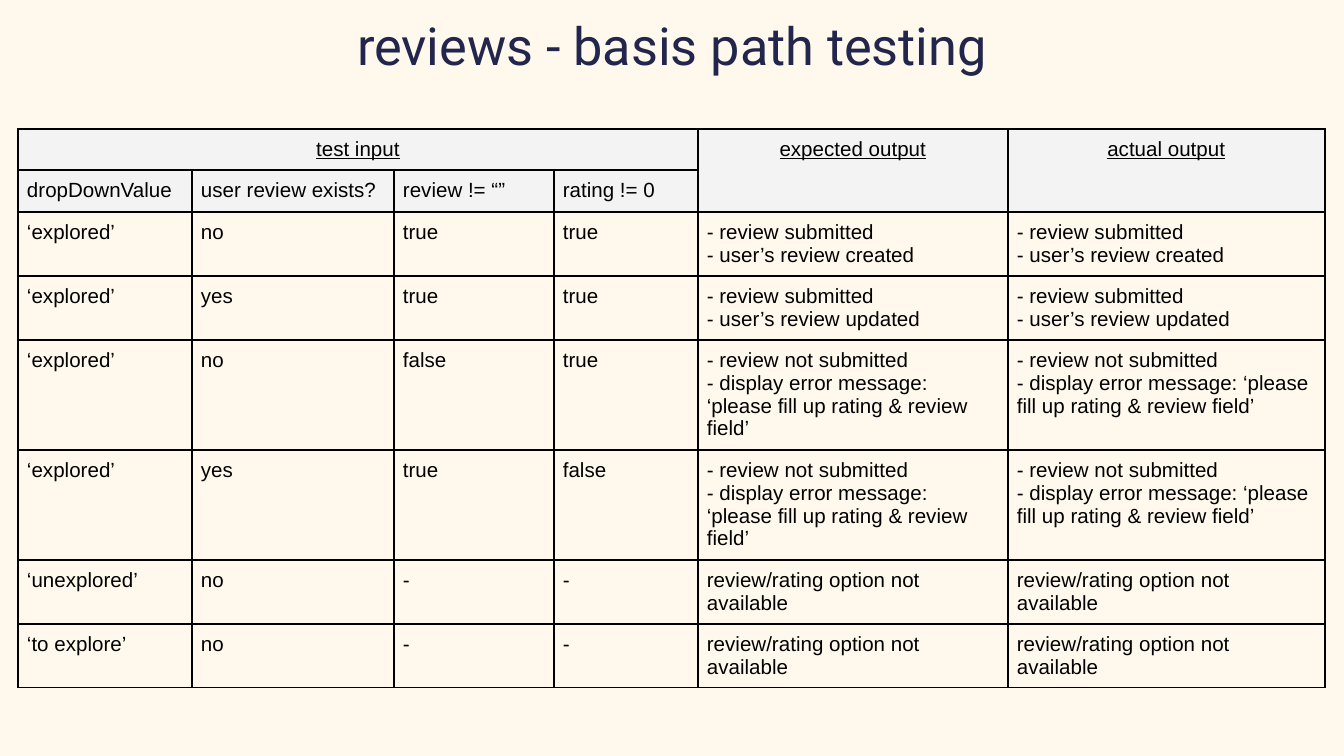
import pptx
import pptx.dml.color
import pptx.enum.text
import pptx.oxml
import pptx.oxml.ns
import pptx.util

# Content
TITLE = "reviews - basis path testing"
GROUPS = [("test input", 0, 0, 0, 3), ("expected output", 0, 4, 1, 4), ("actual output", 0, 5, 1, 5)]
INPUTS = ["dropDownValue", "user review exists?", "review != “”", "rating != 0"]
CREATED = "- review submitted\n- user’s review created"
UPDATED = "- review submitted\n- user’s review updated"
REJECTED = ("- review not submitted\n"
            "- display error message: ‘please fill up rating & review field’")
UNAVAILABLE = "review/rating option not available"
# The actual output equals the expected output in every case
CASES = [
    ("‘explored’", "no", "true", "true", CREATED),
    ("‘explored’", "yes", "true", "true", UPDATED),
    ("‘explored’", "no", "false", "true", REJECTED),
    ("‘explored’", "yes", "true", "false", REJECTED),
    ("‘unexplored’", "no", "-", "-", UNAVAILABLE),
    ("‘to explore’", "no", "-", "-", UNAVAILABLE),
]

# Look
COLORS = {"background": "FFF9ED", "title": "22254C", "text": "000000",
          "header": "F3F3F3", "border": "000000"}
COLUMN_WIDTHS = [174, 202, 160, 144, 310, 317]
ROW_HEIGHTS = [41, 42, 64, 64, 110, 110, 64, 64]
HEADER_ROWS = 2
CELL_MARGIN = 9
SCALE = 914400 / 134.4


def px(length):
    return pptx.util.Emu(round(length * SCALE))


def color(name):
    return pptx.dml.color.RGBColor.from_string(COLORS[name])


def style_runs(frame, font, size, color_name, centered=False, underline=False):
    for para in frame.paragraphs:
        if centered:
            para.alignment = pptx.enum.text.PP_ALIGN.CENTER
        for span in para.runs:
            span.font.name = font
            span.font.size = pptx.util.Pt(size)
            span.font.color.rgb = color(color_name)
            span.font.underline = underline


def add_borders(cell):
    properties = cell._tc.get_or_add_tcPr()
    for index, side in enumerate(("lnL", "lnR", "lnT", "lnB")):
        properties.insert(index, pptx.oxml.parse_xml(
            f'<a:{side} {pptx.oxml.ns.nsdecls("a")} w="12700"><a:solidFill>'
            f'<a:srgbClr val="{COLORS["border"]}"/></a:solidFill></a:{side}>'))


def add_title(page):
    box = page.shapes.title
    box.left, box.top, box.width, box.height = px(105), px(0), px(1134), px(70)
    frame = box.text_frame
    frame.text = TITLE
    frame.word_wrap = True
    frame.auto_size = pptx.enum.text.MSO_AUTO_SIZE.NONE
    frame.vertical_anchor = pptx.enum.text.MSO_ANCHOR.TOP
    frame.margin_left = frame.margin_right = pptx.util.Inches(0.1)
    frame.margin_top = frame.margin_bottom = pptx.util.Inches(0.1)
    style_runs(frame, "Roboto", 28, "title", centered=True)


def add_test_table(page):
    table = page.shapes.add_table(
        len(ROW_HEIGHTS), len(COLUMN_WIDTHS), px(18), px(129),
        px(sum(COLUMN_WIDTHS)), px(sum(ROW_HEIGHTS))).table
    table.first_row = table.horz_banding = False
    for column, width in zip(table.columns, COLUMN_WIDTHS):
        column.width = px(width)
    for row, height in zip(table.rows, ROW_HEIGHTS):
        row.height = px(height)

    # Wording
    for text, top, left, bottom, right in GROUPS:
        table.cell(top, left).merge(table.cell(bottom, right))
        table.cell(top, left).text_frame.text = text
    body = [INPUTS] + [case + (case[-1],) for case in CASES]
    for row, texts in enumerate(body, start=1):
        for column, text in enumerate(texts):
            table.cell(row, column).text_frame.text = text

    # Formatting
    group_cells = {(top, left) for _, top, left, _, _ in GROUPS}
    for row in range(len(ROW_HEIGHTS)):
        for column in range(len(COLUMN_WIDTHS)):
            cell = table.cell(row, column)
            cell.margin_left = cell.margin_right = px(CELL_MARGIN)
            cell.margin_top = cell.margin_bottom = px(CELL_MARGIN)
            if row < HEADER_ROWS:
                cell.fill.solid()
                cell.fill.fore_color.rgb = color("header")
            else:
                cell.fill.background()
            add_borders(cell)
            is_group = (row, column) in group_cells
            style_runs(cell.text_frame, "Arial", 11, "text", is_group, is_group)


def main():
    deck = pptx.Presentation()
    deck.slide_width, deck.slide_height = px(1344), px(756)
    page = deck.slides.add_slide(deck.slide_layouts[5])
    page.background.fill.solid()
    page.background.fill.fore_color.rgb = color("background")
    add_title(page)
    add_test_table(page)
    deck.save("out.pptx")


if __name__ == "__main__":
    main()
